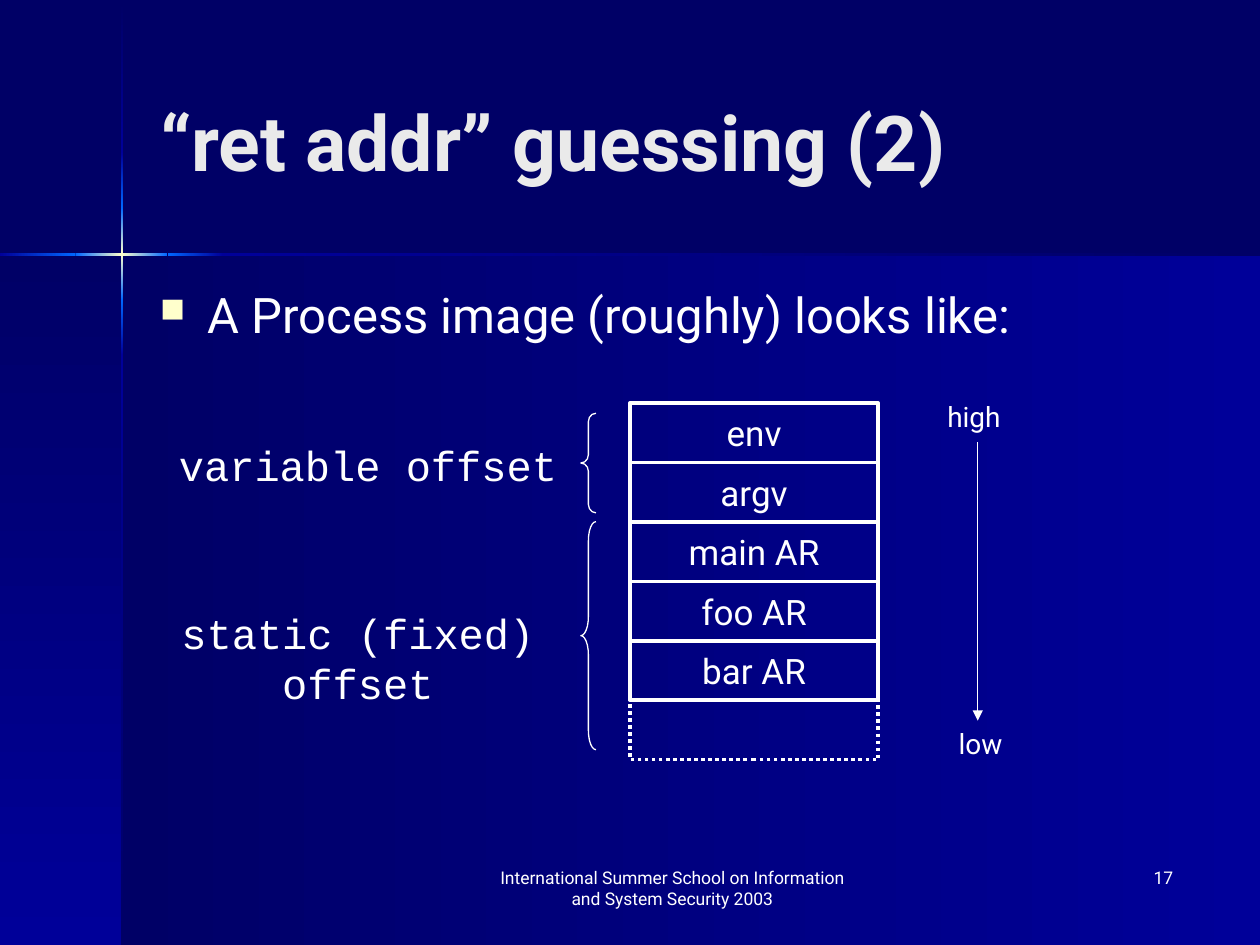
from lxml import etree
from pptx import Presentation
from pptx import util as u
from pptx.dml.color import RGBColor
from pptx.enum import dml, shapes, text
from pptx.oxml.ns import qn

WHITE, NIGHT, NAVY, BLUE, CREAM = "FFFFFF", "000066", "000099", "0066FF", "FFFFCC"
DOWN, LEFTWARD = 270, 180  # counter-clockwise gradient angles
LEFT, CENTER, RIGHT = text.PP_ALIGN.LEFT, text.PP_ALIGN.CENTER, text.PP_ALIGN.RIGHT


def color(value):
    return RGBColor.from_string(value)


def inches(box):
    return [u.Inches(length) for length in box]


def write(shape, words, size, align=LEFT, anchor=text.MSO_ANCHOR.TOP, wrap=True,
          **font_format):
    frame = shape.text_frame
    frame.text = words
    frame_format = {"word_wrap": wrap, "vertical_anchor": anchor,
                    "auto_size": text.MSO_AUTO_SIZE.NONE}
    for name, value in frame_format.items():
        setattr(frame, name, value)
    paragraph = frame.paragraphs[0]
    paragraph.alignment = align
    font_format = {"name": "Roboto", "size": u.Pt(size), "hex": WHITE} | font_format
    ink = font_format.pop("hex")
    for run in paragraph.runs:
        for name, value in font_format.items():
            setattr(run.font, name, value)
        run.font.color.rgb = color(ink)
    return paragraph


def add_label(slide, box, words, size, **options):
    return write(slide.shapes.add_textbox(*inches(box)), words, size, **options)


def add_outline(slide, kind, box, width):
    """Add an unfilled shape with a white line."""
    shape = slide.shapes.add_shape(kind, *inches(box))
    shape.shadow.inherit = False
    shape.fill.background()
    shape.line.color.rgb = color(WHITE)
    shape.line.width = u.Pt(width)
    return shape


def add_gradient(slide, box, angle, colors):
    """Add a rectangle that fades evenly through the colours."""
    shape = slide.shapes.add_shape(shapes.MSO_SHAPE.RECTANGLE, *inches(box))
    shape.shadow.inherit = False
    shape.line.fill.background()
    shape.fill.gradient()
    shape.fill.gradient_angle = angle
    stops = shape.element.spPr.find(".//" + qn("a:gsLst"))
    for stop in list(stops):
        stops.remove(stop)
    for index, value in enumerate(colors):
        position = str(index * 100000 // (len(colors) - 1))
        stop = etree.SubElement(stops, qn("a:gs"), pos=position)
        etree.SubElement(stop, qn("a:srgbClr"), val=value)


def add_backdrop(slide, width, height):
    """Draw the shaded panels and the glowing cross where they meet."""
    x, y, thick = 0.97, 2.02, 0.02
    add_gradient(slide, (x, y, width - x, height - y), LEFTWARD, (NAVY, NIGHT))
    add_gradient(slide, (0, y, x, height - y), DOWN, (NIGHT, NAVY))
    glow = (BLUE, CREAM, BLUE)
    vertical = [(0.01, 1.21, (NIGHT, NAVY)), (1.21, 1.65, (NAVY, BLUE)),
                (1.65, 2.38, glow), (2.38, 2.82, (BLUE, NAVY)),
                (2.82, height, (NAVY, NIGHT))]
    for start, end, colors in vertical:
        add_gradient(slide, (x - thick / 2, start, thick, end - start), DOWN, colors)
    horizontal = [(0, 0.6, (BLUE, NAVY)), (0.6, 1.33, glow),
                  (1.33, 1.77, (NAVY, BLUE)), (1.77, width, (NIGHT, NAVY))]
    for start, end, colors in horizontal:
        add_gradient(slide, (start, y - thick / 2, end - start, thick), LEFTWARD, colors)


def add_title(slide, box, words):
    title = slide.shapes.title
    title.left, title.top, title.width, title.height = inches(box)
    write(title, words, 44, anchor=text.MSO_ANCHOR.MIDDLE, bold=True, hex="EAEAEA")


def add_bullet(slide, box, words):
    paragraph = add_label(slide, box, words, 28)
    properties = paragraph._p.get_or_add_pPr()
    properties.set("marL", str(u.Inches(0.38)))
    properties.set("indent", str(-u.Inches(0.38)))
    bullet_color = etree.SubElement(properties, qn("a:buClr"))
    etree.SubElement(bullet_color, qn("a:srgbClr"), val=CREAM)
    etree.SubElement(properties, qn("a:buSzPct"), val="70000")
    etree.SubElement(properties, qn("a:buChar"), char="■")


def add_stack(slide, box, names):
    """Stack one cell per name, the last of them dotted."""
    left, top, width, height = box
    row = height / len(names)
    for index, name in enumerate(names):
        cell = add_outline(slide, shapes.MSO_SHAPE.RECTANGLE,
                           (left, top + index * row, width, row), 2)
        if name:
            write(cell, name, 20, align=CENTER, anchor=text.MSO_ANCHOR.MIDDLE)
    cell.line.dash_style = dml.MSO_LINE.ROUND_DOT


def add_brace(slide, box, label_box, words):
    brace = add_outline(slide, shapes.MSO_SHAPE.LEFT_BRACE, box, 0.75)
    brace.adjustments[0] = box[3] / box[2] / 12
    add_label(slide, label_box, words, 24, align=CENTER, wrap=False, name="Courier New")


def add_address_axis(slide, box):
    left, top, width, height = box
    label_height = 0.37
    add_label(slide, (left, top, width, label_height), "high", 16, wrap=False)
    add_label(slide, (left + 0.09, top + height - label_height, width - 0.1, label_height),
              "low", 16, wrap=False)
    x = left + 0.34
    ends = inches((x, top + 0.39, x, top + height - label_height))
    arrow = slide.shapes.add_connector(shapes.MSO_CONNECTOR.STRAIGHT, *ends)
    arrow.line.color.rgb = color(WHITE)
    arrow.line.width = u.Pt(0.75)
    etree.SubElement(arrow.line._get_or_add_ln(), qn("a:tailEnd"), type="triangle")
    etree.SubElement(arrow.element.spPr, qn("a:effectLst"))


def add_footer(slide, top, height):
    add_label(slide, (3.75, top, 3.17, height),
              "International Summer School on Information and System Security 2003",
              10, align=CENTER)
    add_label(slide, (7.33, top, 2.08, height), "17", 10, align=RIGHT)


def main():
    presentation = Presentation()
    presentation.slide_width, presentation.slide_height = inches((10, 7.5))
    slide = presentation.slides.add_slide(presentation.slide_layouts[5])
    slide.background.fill.solid()
    slide.background.fill.fore_color.rgb = color(NIGHT)
    add_backdrop(slide, 10, 7.5)
    add_title(slide, (1.17, 0.33, 8.25, 1.57), "“ret addr” guessing (2)")
    add_bullet(slide, (1.17, 2.21, 8.25, 0.7), "A Process image (roughly) looks like:")
    add_stack(slide, (5, 3.2, 1.97, 2.83),
              ["env", "argv", "main AR", "foo AR", "bar AR", ""])
    add_brace(slide, (4.61, 3.28, 0.12, 0.79), (1.32, 3.44, 3.2, 0.5), "variable offset")
    add_brace(slide, (4.61, 4.14, 0.12, 1.81), (1.34, 4.77, 3, 0.9),
              "static (fixed)\voffset")
    add_address_axis(slide, (7.42, 3.12, 0.66, 2.97))
    add_footer(slide, 6.83, 0.5)
    presentation.save("out.pptx")


if __name__ == "__main__":
    main()
